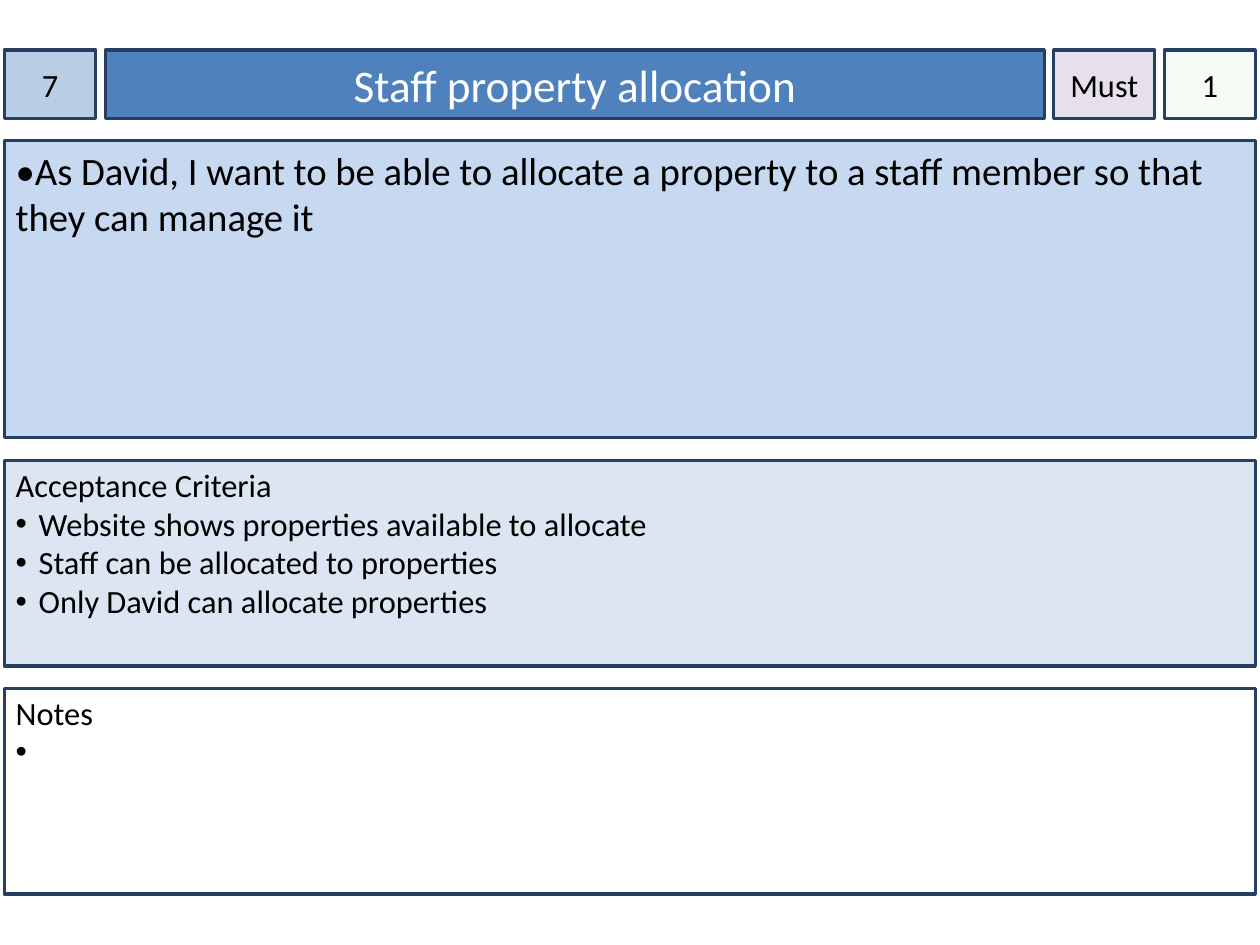
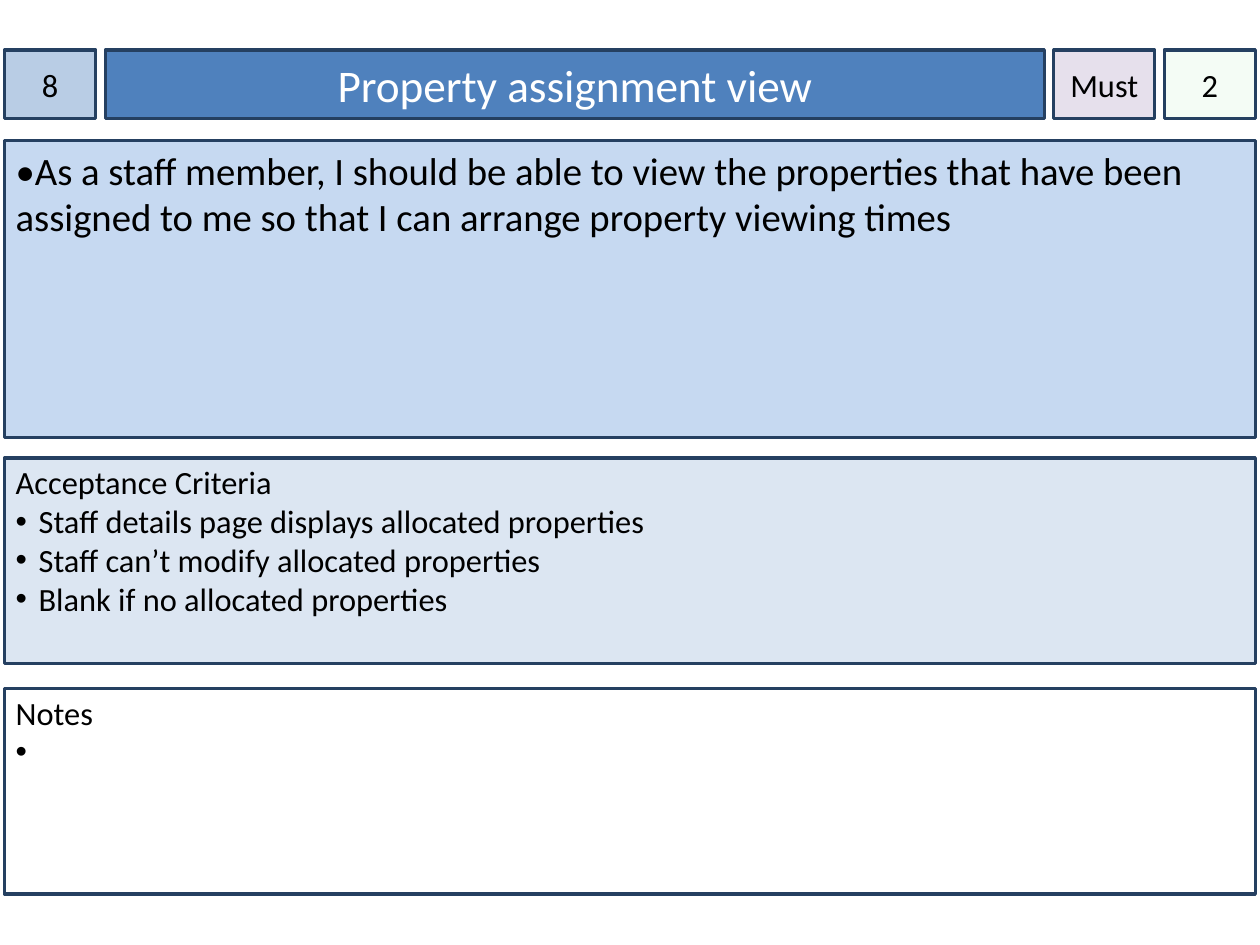
from lxml.etree import SubElement
from pptx import Presentation
from pptx.dml.color import RGBColor
from pptx.enum.shapes import MSO_SHAPE as Shape
from pptx.enum.text import MSO_ANCHOR as Anchor, PP_ALIGN as Align
from pptx.oxml.ns import qn
from pptx.util import Cm, Pt

STORIES = [
    {
        "number": "7",
        "title": "Staff property allocation",
        "priority": "Must",
        "estimate": "1",
        "story": "•As David, I want to be able to allocate a property to a staff member "
                 "so that they can manage it",
        "criteria": [
            "Website shows properties available to allocate",
            "Staff can be allocated to properties",
            "Only David can allocate properties",
        ],
        "notes": [" "],
        "criteria_lift": 0,
    },
    {
        "number": "8",
        "title": "Property assignment view",
        "priority": "Must",
        "estimate": "2",
        "story": "•As a staff member, I should be able to view the properties that have been "
                 "assigned to me so that I can arrange property viewing times",
        "criteria": [
            "Staff details page displays allocated properties",
            "Staff can’t modify allocated properties",
            "Blank if no allocated properties",
        ],
        "notes": [" "],
        "criteria_lift": 0.05,
    },
]

COLORS = {
    "number": "B9CDE5",
    "title": "4F81BD",
    "priority": "E6E0EC",
    "estimate": "CCF0CD",
    "story": "C6D9F1",
    "criteria": "DCE6F2",
    "notes": "FFFFFF",
    "outline": "254061",
    "text": "000000",
    "title_text": "FFFFFF",
}
FONT = "Calibri"
TITLE_SIZE, STORY_SIZE, BODY_SIZE = 28.5, 24.4, 20.4

SLIDE_W, SLIDE_H = 28, 21
MARGIN = 0.1
BAND_W = SLIDE_W - 2 * MARGIN
HEADER_TOP, HEADER_H = 1.11, 1.52
COLUMN_GAP, ROW_GAP = 0.21, 0.5
BADGE_W, PRIORITY_W = 2.03, 2.24
TITLE_W = BAND_W - 2 * BADGE_W - PRIORITY_W - 3 * COLUMN_GAP
HEADER_WIDTHS = {
    "number": BADGE_W,
    "title": TITLE_W,
    "priority": PRIORITY_W,
    "estimate": BADGE_W,
}
PANEL_HEIGHTS = {"story": 6.6, "criteria": 4.57, "notes": 4.57}
PANEL_HEADINGS = {"criteria": "Acceptance Criteria", "notes": "Notes"}
BULLET_INDENT = 0.51


def rgb(name):
    return RGBColor.from_string(COLORS[name])


def add_box(slide, part, left, top, width, height):
    box = slide.shapes.add_shape(Shape.RECTANGLE, Cm(left), Cm(top), Cm(width), Cm(height))
    box.shadow.inherit = False
    box.fill.solid()
    box.fill.fore_color.rgb = rgb(part)
    box.line.color.rgb = rgb("outline")
    box.line.width = Pt(2)
    box.text_frame.word_wrap = True
    return box


def write(frame, lines, size, color="text", align=Align.LEFT, bulleted_from=None):
    for index, line in enumerate(lines):
        paragraph = frame.add_paragraph() if index else frame.paragraphs[0]
        paragraph.text = line
        paragraph.alignment = align
        if bulleted_from is not None and index >= bulleted_from:
            add_bullet(paragraph)
        paragraph.font.name = FONT
        paragraph.font.size = Pt(size)
        paragraph.font.color.rgb = rgb(color)


def add_bullet(paragraph):
    properties = paragraph._p.get_or_add_pPr()
    properties.set("marL", str(Cm(BULLET_INDENT)))
    properties.set("indent", str(-Cm(BULLET_INDENT)))
    SubElement(properties, qn("a:buFont"), typeface="Arial")
    SubElement(properties, qn("a:buChar"), char="•")


def set_opacity(box, percent):
    color = box.fill._xPr.find(".//" + qn("a:srgbClr"))
    SubElement(color, qn("a:alpha"), val=str(percent * 1000))


def add_header(slide, story):
    left = MARGIN
    for part, width in HEADER_WIDTHS.items():
        box = add_box(slide, part, left, HEADER_TOP, width, HEADER_H)
        frame = box.text_frame
        frame.vertical_anchor = Anchor.MIDDLE
        if part == "title":
            write(frame, [story[part]], TITLE_SIZE, "title_text", Align.CENTER)
        else:
            frame.margin_left = frame.margin_right = 0
            frame.word_wrap = part != "priority"
            write(frame, [story[part]], BODY_SIZE, align=Align.CENTER)
        if part == "estimate":
            set_opacity(box, 20)
        left += width + COLUMN_GAP


def add_panels(slide, story):
    top = HEADER_TOP + HEADER_H + ROW_GAP
    for part, height in PANEL_HEIGHTS.items():
        lift = story["criteria_lift"] if part == "criteria" else 0
        frame = add_box(slide, part, MARGIN, top - lift, BAND_W, height).text_frame
        frame.vertical_anchor = Anchor.TOP
        if part in PANEL_HEADINGS:
            frame.margin_top = Cm(0.1)
            write(frame, [PANEL_HEADINGS[part], *story[part]], BODY_SIZE, bulleted_from=1)
        else:
            write(frame, [story[part]], STORY_SIZE)
        top += height + ROW_GAP


def main():
    deck = Presentation()
    deck.slide_width, deck.slide_height = Cm(SLIDE_W), Cm(SLIDE_H)
    for story in STORIES:
        slide = deck.slides.add_slide(deck.slide_layouts[6])
        add_header(slide, story)
        add_panels(slide, story)
    deck.save("out.pptx")


if __name__ == "__main__":
    main()
